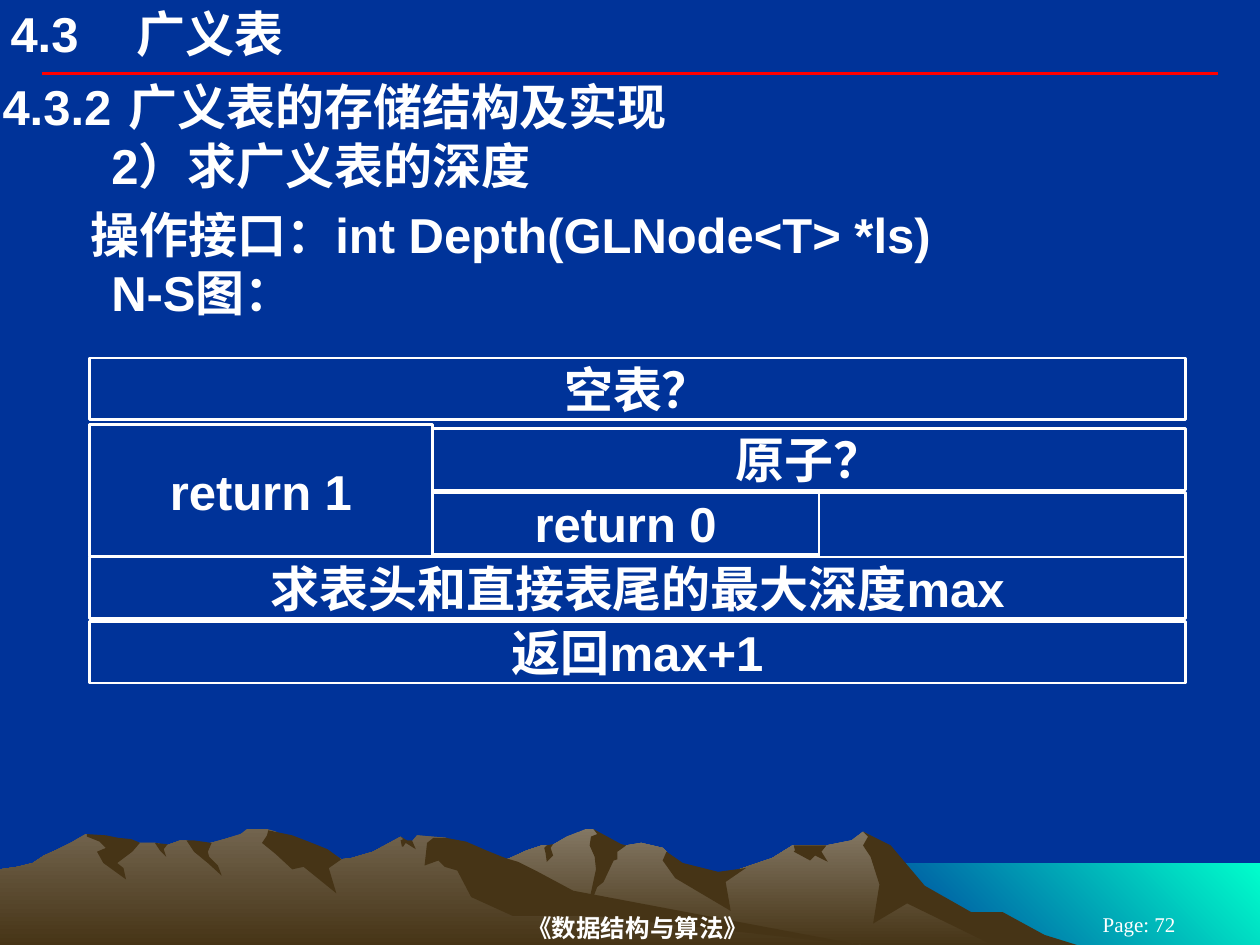
from pptx import Presentation
from pptx.dml.color import RGBColor
from pptx.enum.shapes import MSO_CONNECTOR, MSO_SHAPE
from pptx.enum.text import MSO_ANCHOR, MSO_AUTO_SIZE, PP_ALIGN
from pptx.oxml.ns import qn
from pptx.util import Pt
from lxml import etree

RECTANGLE = MSO_SHAPE.RECTANGLE
STRAIGHT = MSO_CONNECTOR.STRAIGHT
TOP, MIDDLE = MSO_ANCHOR.TOP, MSO_ANCHOR.MIDDLE
LEFT, CENTER = PP_ALIGN.LEFT, PP_ALIGN.CENTER
NO_AUTOFIT = MSO_AUTO_SIZE.NONE

WHITE, BLUE, RED, TURQUOISE = "FFFFFF", "003399", "FF0000", "00FFCC"
SHADE, FAR_ROCK, NEAR_ROCK = "463416", "837763", "72644E"
SCENERY_UNIT = Pt(0.72)  # scenery points are hundredths of an inch

SEA = [(1000, 752), (683, 752), (683, 685), (1000, 685)]
FAR_RIDGE = [
    (802, 740), (778, 727), (764, 723), (723, 698), (702, 671), (685, 660),
    (676, 667), (656, 671), (629, 671), (613, 681), (566, 697), (536, 690),
    (529, 676), (526, 673), (509, 669), (497, 671), (486, 673), (474, 661),
    (471, 658), (465, 658), (450, 664), (438, 671), (430, 671), (418, 675),
    (405, 681), (394, 685), (355, 698), (327, 709), (277, 739), (258, 751),
    (821, 751)]
NEAR_RIDGE = [
    (690, 751), (667, 748), (432, 712), (354, 665), (331, 663), (327, 668),
    (323, 668), (318, 664), (296, 676), (279, 681), (271, 682), (260, 676),
    (236, 681), (223, 663), (219, 660), (212, 658), (196, 658), (191, 662),
    (178, 666), (160, 671), (148, 667), (143, 667), (132, 671), (123, 669),
    (111, 669), (94, 671), (68, 662), (56, 669), (46, 674), (35, 679),
    (26, 685), (14, 688), (0, 690), (0, 751)]
FAR_SHADES = [
    [(796, 724), (771, 724), (734, 703), (707, 671), (685, 660), (689, 664),
     (685, 671), (691, 680), (698, 702), (693, 733), (720, 717), (792, 752),
     (858, 751), (829, 742)],
    [(471, 658), (474, 662), (469, 664), (468, 671), (472, 680), (473, 690),
     (465, 727), (474, 704), (479, 700), (487, 683), (490, 682), (490, 676),
     (497, 671), (493, 670)],
    [(529, 676), (526, 683), (536, 697), (580, 723), (576, 700), (592, 689),
     (570, 692), (542, 685)],
    [(650, 671), (630, 671), (631, 675), (630, 676), (643, 683), (647, 679),
     (657, 684), (652, 676), (656, 671)],
    [(433, 677), (432, 673), (434, 671), (439, 670), (437, 673), (439, 679),
     (434, 684)]]
NEAR_SHADES = [
    [(212, 663), (208, 669), (219, 678), (232, 690), (241, 688), (267, 709),
     (261, 689), (271, 682), (260, 674), (245, 668), (232, 663), (213, 659)],
    [(370, 668), (354, 665), (344, 665), (339, 669), (337, 687), (348, 683),
     (353, 688), (363, 691), (374, 712), (407, 727), (472, 727), (690, 751),
     (683, 750), (455, 707), (427, 692), (411, 684), (401, 681), (386, 675)],
    [(318, 667), (320, 666), (318, 664), (323, 667), (327, 667), (330, 674),
     (322, 669), (320, 672), (319, 672)],
    [(154, 667), (168, 669), (165, 676), (166, 680), (173, 687), (176, 695),
     (165, 685), (154, 676), (148, 667)],
    [(133, 670), (130, 674), (132, 680), (127, 675), (123, 669)],
    [(109, 668), (111, 669), (105, 676), (93, 685), (98, 689), (100, 698),
     (82, 685), (77, 676), (84, 673), (79, 668), (69, 664), (69, 662),
     (84, 663), (94, 665), (104, 666)]]

# text, left indent, space before, tab stop
BODY_LINES = [
    ("4.3.2\t广义表的存储结构及实现", 0, 0, 91.5),
    ("2）求广义表的深度", 62.2, 0, None),
    ("操作接口：int Depth(GLNode<T> *ls)", 50.4, 5.5, None),
    ("N-S图：", 62.2, 0, None)]

# N-S chart grid: column edges, row height, text
CHART_LEFT, CHART_SPLIT, ATOM_SPLIT, CHART_RIGHT = 51.1, 247, 468, 677.5
ROW = 35.3
CHART_CELLS = [
    (CHART_LEFT, CHART_RIGHT, 204.5, ROW, "空表？"),
    (CHART_LEFT, CHART_SPLIT, 242.6, 75.6, "return 1"),
    (CHART_SPLIT, CHART_RIGHT, 244.8, ROW, "原子？"),
    (CHART_SPLIT, ATOM_SPLIT, 281.5, ROW, "return 0"),
    (ATOM_SPLIT, CHART_RIGHT, 281.5, 36.7, ""),
    (CHART_LEFT, CHART_RIGHT, 318.2, ROW, "求表头和直接表尾的最大深度max"),
    (CHART_LEFT, CHART_RIGHT, 355, ROW, "返回max+1")]


def color(hex_string):
    return RGBColor.from_string(hex_string)


def place(shape, left, top, width, height):
    shape.left, shape.top = Pt(left), Pt(top)
    shape.width, shape.height = Pt(width), Pt(height)


def set_frame(frame, anchor, side=1.44, edge=0.72):
    frame.word_wrap = True
    frame.auto_size = NO_AUTOFIT
    frame.vertical_anchor = anchor
    frame.margin_left = frame.margin_right = Pt(side)
    frame.margin_top = frame.margin_bottom = Pt(edge)


def set_indent(para, indent, tab=None):
    """Remove the bullet, set the left indent and an optional tab stop."""
    props = para._p.get_or_add_pPr()
    props.set("marL", str(Pt(indent)))
    props.set("indent", "0")
    etree.SubElement(props, qn("a:buNone"))
    if tab:
        stops = etree.SubElement(props, qn("a:tabLst"))
        etree.SubElement(stops, qn("a:tab"), pos=str(Pt(tab)), algn="l")


def format_para(para, align, size=28, font="Arial", bold=True, before=0):
    para.alignment = align
    para.space_before = Pt(before)
    for span in para.runs:
        span.font.name, span.font.size, span.font.bold = font, Pt(size), bold
        span.font.color.rgb = color(WHITE)


def add_outline(page, points, fill, fade_to=None, angle=270):
    builder = page.shapes.build_freeform(*points[0], scale=SCENERY_UNIT)
    builder.add_line_segments(points[1:])
    shape = builder.convert_to_shape()
    shape.shadow.inherit = False
    shape.line.fill.background()
    if fade_to:
        shape.fill.gradient()
        shape.fill.gradient_angle = angle
        for stop, tone in zip(shape.fill.gradient_stops, (fill, fade_to)):
            stop.color.rgb = color(tone)
    else:
        shape.fill.solid()
        shape.fill.fore_color.rgb = color(fill)


def add_scenery(page):
    add_outline(page, SEA, TURQUOISE, BLUE, 225)
    for ridge, rock, shades in ((FAR_RIDGE, FAR_ROCK, FAR_SHADES),
                                (NEAR_RIDGE, NEAR_ROCK, NEAR_SHADES)):
        add_outline(page, ridge, rock, SHADE)
        for shade in shades:
            add_outline(page, shade, SHADE)


def add_rule(page):
    rule = page.shapes.add_connector(STRAIGHT, Pt(24), Pt(42), Pt(696), Pt(42))
    rule.line.color.rgb = color(RED)
    rule.line.width = Pt(2.25)
    etree.SubElement(rule._element.spPr, qn("a:effectLst"))


def add_footer(page, text, area, size, bold):
    box = page.shapes.add_textbox(*map(Pt, area))
    set_frame(box.text_frame, MIDDLE, 0)
    para = box.text_frame.paragraphs[0]
    para.text = text
    format_para(para, CENTER, size, "Times New Roman", bold)


def fill_title(title):
    place(title, 6, 2.2, 468, 34)
    set_frame(title.text_frame, TOP, 0, 0)
    para = title.text_frame.paragraphs[0]
    para.text = "4.3\t广义表"
    set_indent(para, 0, 61)
    format_para(para, LEFT)


def fill_body(body):
    place(body, 0, 43.2, 720, 145)
    frame = body.text_frame
    set_frame(frame, TOP)
    frame.text = "\n".join(line[0] for line in BODY_LINES)
    for para, (_, indent, before, tab) in zip(frame.paragraphs, BODY_LINES):
        set_indent(para, indent, tab)
        format_para(para, LEFT, before=before)


def add_chart_cell(page, left, right, top, height, text):
    cell = page.shapes.add_shape(
        RECTANGLE, Pt(left), Pt(top), Pt(right - left), Pt(height))
    cell.shadow.inherit = False
    cell.fill.background()
    cell.line.color.rgb = color(WHITE)
    cell.line.width = Pt(1.5)
    if text:
        set_frame(cell.text_frame, MIDDLE if height > ROW else TOP)
        cell.text_frame.text = text
        format_para(cell.text_frame.paragraphs[0], CENTER)


def main():
    deck = Presentation()
    deck.slide_width, deck.slide_height = Pt(720), Pt(540)
    page = deck.slides.add_slide(deck.slide_layouts[1])
    page.background.fill.solid()
    page.background.fill.fore_color.rgb = color(BLUE)

    # Scenery, rule and footers
    add_scenery(page)
    add_rule(page)
    add_footer(page, "《数据结构与算法》", (146.4, 519.8, 436.3, 20.2), 14, True)
    add_footer(page, "Page: 72", (594, 522, 113.8, 12.2), 12, False)

    # Headings and N-S chart
    fill_title(page.shapes.title)
    fill_body(page.placeholders[1])
    for cell in CHART_CELLS:
        add_chart_cell(page, *cell)

    deck.save("out.pptx")


if __name__ == "__main__":
    main()
